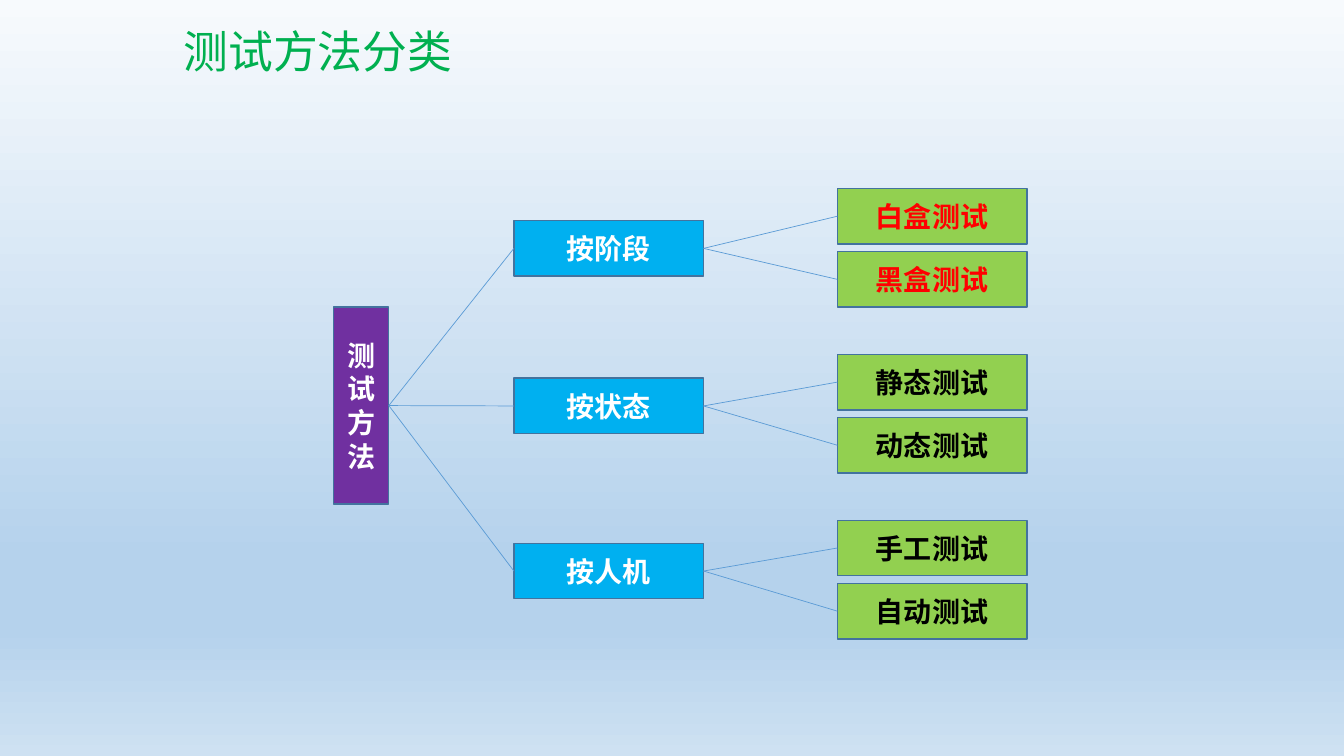
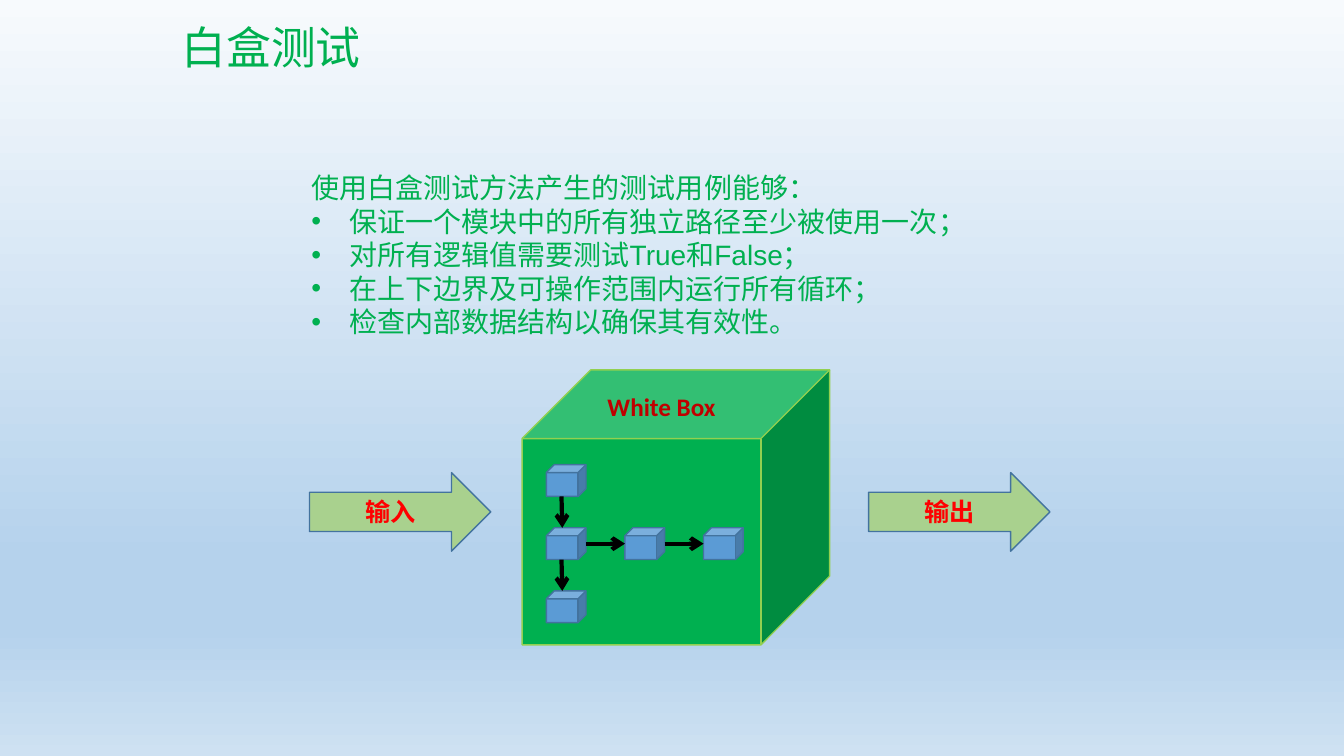
from copy import deepcopy
from dataclasses import dataclass

from lxml import etree
from pptx import Presentation, util as u
from pptx.dml.color import RGBColor
from pptx.enum import lang, shapes, text
from pptx.oxml.ns import qn


@dataclass(frozen=True)
class Theme:
    white: str = "FFFFFF"
    black: str = "000000"
    red: str = "FF0000"
    dark_red: str = "C00000"
    purple: str = "7030A0"
    sky: str = "00B0F0"
    green: str = "00B050"
    lime: str = "92D050"
    sage: str = "A9D18E"
    blue: str = "5B9BD5"
    outline: str = "43739E"
    background: tuple = ((0, "F7FAFD"), (0.74, "B5D2EC"), (0.83, "B5D2EC"), (1, "CEE1F2"))
    latin_font: str = "Calibri"
    chinese_font: str = "Noto Sans CJK SC"
    list_font: str = "Arial"
    title_size: float = 32
    body_size: float = 20
    label_size: float = 18


@dataclass(frozen=True)
class Box:
    left: float
    top: float
    width: float
    height: float

    def lengths(self) -> tuple:
        return tuple(u.Cm(value) for value in (self.left, self.top, self.width, self.height))


@dataclass(frozen=True)
class Branch:
    label: str
    top: float
    leaves: tuple
    leaf_color: str


THEME = Theme()
SHAPE = shapes.MSO_SHAPE


def rgb(color: str) -> RGBColor:
    return RGBColor.from_string(color)


def style_paragraph(paragraph, font: str, size: float, color: str, bold: bool = False) -> None:
    paragraph.font.name = font
    paragraph.font.size = u.Pt(size)
    paragraph.font.bold = bold
    paragraph.font.color.rgb = rgb(color)
    paragraph.font.language_id = lang.MSO_LANGUAGE_ID.SIMPLIFIED_CHINESE


def paint_background(presentation) -> None:
    master = presentation.slide_master
    fill = master.background.fill
    fill.gradient()
    fill.gradient_angle = 270
    stop_list = next(master.element.iter(qn("a:gsLst")))
    while len(stop_list) < len(THEME.background):
        stop_list.append(deepcopy(stop_list[-1]))
    for stop, (position, color) in zip(fill.gradient_stops, THEME.background):
        stop.position = position
        stop.color.rgb = rgb(color)


def add_titled_slide(presentation, title: str, left: float, top: float):
    slide = presentation.slides.add_slide(presentation.slide_layouts[5])
    placeholder = slide.shapes.title
    box = Box(left, top, 17.2, 1.63)
    placeholder.left, placeholder.top, placeholder.width, placeholder.height = box.lengths()
    frame = placeholder.text_frame
    frame.text = title
    frame.word_wrap = True
    frame.auto_size = text.MSO_AUTO_SIZE.SHAPE_TO_FIT_TEXT
    frame.vertical_anchor = text.MSO_ANCHOR.TOP
    frame.paragraphs[0].alignment = text.PP_ALIGN.LEFT
    style_paragraph(frame.paragraphs[0], THEME.chinese_font, THEME.title_size, THEME.green)
    return slide


def add_block(slide, kind, box: Box, fill: str, label: str = "", color: str = THEME.white,
              size: float = THEME.body_size, outline: str = THEME.outline):
    shape = slide.shapes.add_shape(kind, *box.lengths())
    shape.shadow.inherit = False
    shape.fill.solid()
    shape.fill.fore_color.rgb = rgb(fill)
    shape.line.color.rgb = rgb(outline)
    shape.line.width = u.Pt(1)
    if label:
        frame = shape.text_frame
        frame.text = label
        frame.vertical_anchor = text.MSO_ANCHOR.MIDDLE
        for paragraph in frame.paragraphs:
            paragraph.alignment = text.PP_ALIGN.CENTER
            style_paragraph(paragraph, THEME.latin_font, size, color, bold=True)
    return shape


def add_line(slide, start: tuple, end: tuple, color: str, width: float, arrow: bool = False):
    points = [u.Cm(value) for value in (*start, *end)]
    connector = slide.shapes.add_connector(shapes.MSO_CONNECTOR.STRAIGHT, *points)
    connector.line.color.rgb = rgb(color)
    connector.line.width = u.Pt(width)
    properties = connector.element.spPr
    if arrow:
        etree.SubElement(properties.find(qn("a:ln")), qn("a:tailEnd"), type="arrow")
    etree.SubElement(properties, qn("a:effectLst"))
    return connector


def link_sideways(slide, parent, child) -> None:
    connector = add_line(slide, (0, 0), (0, 0), THEME.blue, 0.5)
    connector.begin_connect(parent, 3)
    connector.end_connect(child, 1)


def add_text_box(slide, box: Box):
    frame = slide.shapes.add_textbox(*box.lengths()).text_frame
    frame.word_wrap = False
    frame.auto_size = text.MSO_AUTO_SIZE.SHAPE_TO_FIT_TEXT
    return frame


def add_bullet(paragraph) -> None:
    properties = paragraph._p.get_or_add_pPr()
    indent = u.Cm(0.95)
    properties.set("marL", str(indent))
    properties.set("indent", str(-indent))
    etree.SubElement(properties, qn("a:buFont"), typeface=THEME.list_font)
    etree.SubElement(properties, qn("a:buChar"), char="•")


def build_classification(presentation) -> None:
    slide = add_titled_slide(presentation, "测试方法分类", 4.37, 0.48)
    branches = (
        Branch("按阶段", 5.56, ("白盒测试", "黑盒测试"), THEME.red),
        Branch("按状态", 9.53, ("静态测试", "动态测试"), THEME.black),
        Branch("按人机", 13.69, ("手工测试", "自动测试"), THEME.black),
    )
    width, height = 4.78, 1.4
    first_leaf_top, group_pitch, leaf_pitch = 4.75, 4.18, 1.59
    root = add_block(slide, SHAPE.RECTANGLE, Box(8.4, 7.74, height, 4.96),
                     THEME.purple, "\n".join("测试方法"))
    for group, branch in enumerate(branches):
        parent = add_block(slide, SHAPE.RECTANGLE, Box(12.95, branch.top, width, height),
                           THEME.sky, branch.label)
        link_sideways(slide, root, parent)
        for row, label in enumerate(branch.leaves):
            top = first_leaf_top + group * group_pitch + row * leaf_pitch
            leaf = add_block(slide, SHAPE.RECTANGLE, Box(21.1, top, width, height),
                             THEME.lime, label, branch.leaf_color)
            link_sideways(slide, parent, leaf)


def add_goals(slide) -> None:
    goals = (
        ("使用白盒测试方法产生的测试用例能够：",),
        ("保证一个模块中的所有独立路径至少被使用一次；",),
        ("对所有逻辑值需要测试", "True", "和", "False", "；"),
        ("在上下边界及可操作范围内运行所有循环；",),
        ("检查内部数据结构以确保其有效性。",),
    )
    frame = add_text_box(slide, Box(7.6, 4.17, 17, 4.52))
    for index, parts in enumerate(goals):
        paragraph = frame.add_paragraph() if index else frame.paragraphs[0]
        if index:
            add_bullet(paragraph)
        style_paragraph(paragraph, THEME.chinese_font, THEME.body_size, THEME.green)
        for part in parts:
            run = paragraph.add_run()
            run.text = part
            if part.isascii():
                run.font.name = THEME.list_font


def add_module_flow(slide) -> None:
    left, top, column_pitch, row_pitch = 13.77, 11.71, 1.98, 1.59
    width, height = 1, 0.8
    for column, row in ((0, 0), (0, 2), (1, 1), (2, 1), (0, 1)):
        module = Box(left + column * column_pitch, top + row * row_pitch, width, height)
        add_block(slide, SHAPE.CUBE, module, THEME.blue)
    for step in range(2):
        row_top = top + step * row_pitch
        add_line(slide, (left + 0.38, row_top + height), (left + 0.4, row_top + row_pitch),
                 THEME.black, 3, arrow=True)
        column_left = left + step * column_pitch
        middle = top + row_pitch + height / 2
        add_line(slide, (column_left + width, middle), (column_left + column_pitch, middle),
                 THEME.black, 3, arrow=True)


def build_white_box(presentation) -> None:
    slide = add_titled_slide(presentation, "白盒测试", 4.32, 0.36)
    add_goals(slide)
    add_block(slide, SHAPE.CUBE, Box(13.16, 9.32, 7.75, 6.93), THEME.green, outline=THEME.lime)
    for label, left in (("输入", 7.8), ("输出", 21.89)):
        add_block(slide, SHAPE.RIGHT_ARROW, Box(left, 11.91, 4.57, 1.98), THEME.sage,
                  label, THEME.red, THEME.label_size)
    add_module_flow(slide)
    caption = add_text_box(slide, Box(15.06, 9.73, 3.23, 1.02))
    caption.text = "White Box"
    style_paragraph(caption.paragraphs[0], THEME.latin_font, THEME.label_size,
                    THEME.dark_red, bold=True)


def main() -> None:
    presentation = Presentation()
    presentation.slide_width = u.Cm(33.87)
    presentation.slide_height = u.Cm(19.05)
    paint_background(presentation)
    build_classification(presentation)
    build_white_box(presentation)
    presentation.save("out.pptx")


main()
